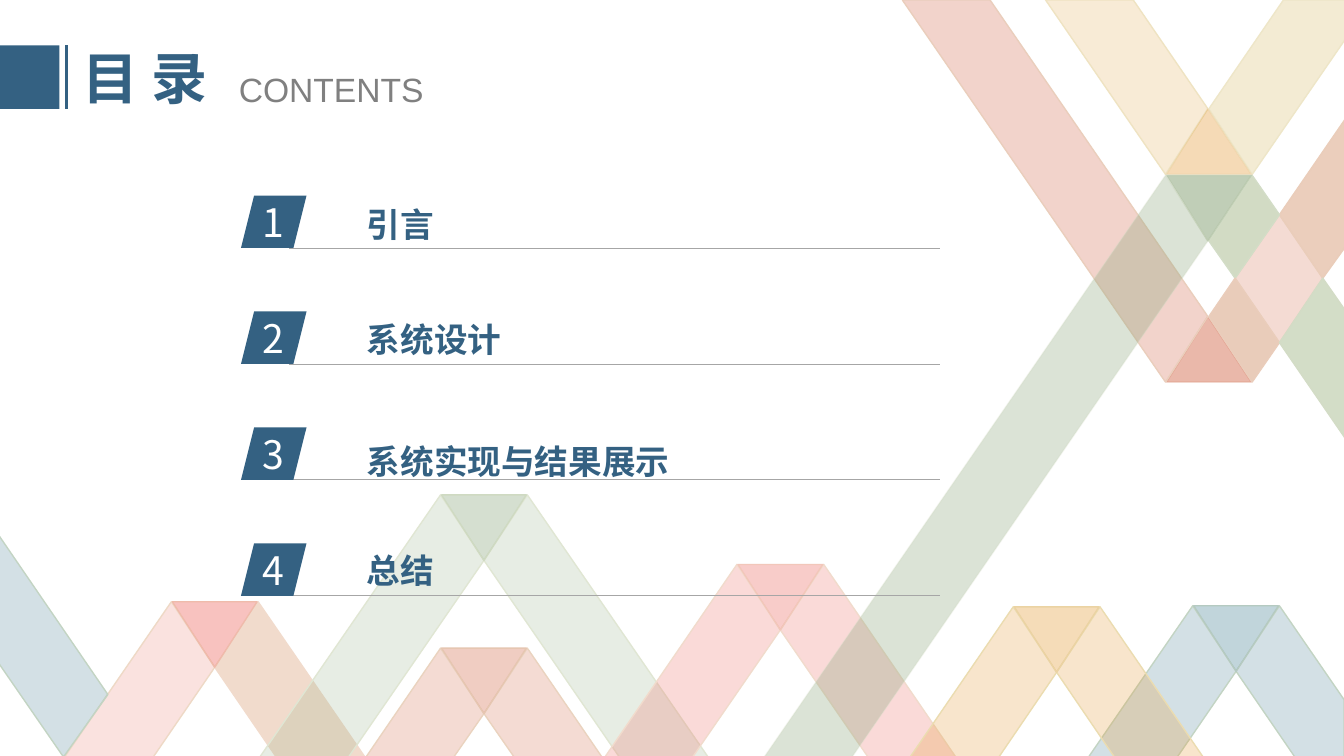
from dataclasses import dataclass

from lxml import etree
from pptx import Presentation
from pptx import util as u
from pptx.dml.color import RGBColor
from pptx.enum import shapes, text
from pptx.oxml.ns import qn

PX = 9144
PAGE_WIDTH, PAGE_HEIGHT = 1333, 750
SLOPE = 0.6875
BAND, TIP = 86, 65
NAVY, WHITE, GREY, RULE = "346182", "FFFFFF", "808080", "A6A6A6"
CJK, LATIN = "Noto Sans CJK SC", "Arial"

Point = tuple[int, int]


@dataclass
class Paint:
    fill: str
    alpha: int
    line: str
    line_alpha: int = 100


@dataclass
class Peak:
    left: int
    top: int
    foot: int
    left_arm: Paint
    right_arm: Paint
    tip: Paint


@dataclass
class Ribbon:
    paint: Paint
    points: list[Point]


@dataclass
class Entry:
    label: str
    top: int
    width: int
    height: int = 50
    spacing: float = 1.0


GREEN_ARM = Paint("A2B894", 25, "E0E6D3")
SALMON_ARM = Paint("D57053", 25, "EAD3BF")
ROSE_ARM = Paint("ED6F65", 25, "F1DBCC")
AMBER_ARM = Paint("E49B35", 25, "EBDCB0")
BLUE_ARM = Paint("508799", 25, "C3D4C3")

PEAKS = [
    Peak(170, 597, 754, Paint("EE8F82", 25, "EED9C6"),
         Paint("F1DBCC", 100, "F1DBCC"), Paint("ED5249", 35, "EFBBAB")),
    Peak(437, 491, 755, GREEN_ARM, GREEN_ARM, Paint("89A67A", 35, "CFDAC2")),
    Peak(437, 643, 754, SALMON_ARM, SALMON_ARM, Paint("D57053", 35, "E6C6B1")),
    Peak(731, 560, 754, ROSE_ARM, ROSE_ARM, Paint("ED6F65", 35, "F2C7BA")),
    Peak(1183, 601, 752, BLUE_ARM, BLUE_ARM, Paint("508799", 35, "B5CAC1")),
    Peak(1005, 602, 755, AMBER_ARM, AMBER_ARM, Paint("E49B35", 35, "EBD3A3")),
]

RIBBONS = [
    Ribbon(BLUE_ARM, [(-4, 527), (107, 689), (63, 751), (-4, 654)]),
    Ribbon(Paint("D57053", 49, "DF9B83", 49), [(1198, 314), (1241, 379), (1157, 379)]),
    Ribbon(Paint("E7B05E", 25, "EFE3C2"), [(1037, 0), (1124, 0), (1198, 108), (1156, 173)]),
    Ribbon(Paint("EFE3C2", 71, "EEE6C8"),
           [(1273, 0), (1335, 0), (1335, 38), (1242, 173), (1199, 108)]),
    Ribbon(Paint("D57053", 25, "EAD3BE"), [(1269, 213), (1312, 276), (1269, 340), (1225, 276)]),
    Ribbon(Paint("EBCEBC", 100, "EACDBA"), [(1335, 117), (1335, 244), (1312, 276), (1269, 213)]),
    Ribbon(Paint("D2DBC4", 100, "D3DDC7"), [(1242, 174), (1269, 213), (1225, 276), (1199, 239)]),
    Ribbon(Paint("E9CCBA", 100, "EACDBB"), [(1225, 276), (1269, 340), (1242, 379), (1199, 314)]),
    Ribbon(Paint("D3DDC7", 100, "D3DCC6"), [(1312, 276), (1335, 309), (1335, 436), (1269, 340)]),
    Ribbon(Paint("E49B35", 36, "EBD09D", 36), [(1198, 108), (1241, 173), (1157, 173)]),
    Ribbon(Paint("88A378", 53, "B3C4A5", 53), [(1198, 239), (1241, 174), (1157, 174)]),
    Ribbon(Paint("D57053", 30, "EACEBC"), [(895, 0), (982, 0), (1198, 314), (1156, 379)]),
    Ribbon(Paint("88A378", 30, "D3DCC5", 30), [(1156, 174), (1198, 239), (843, 754), (756, 754)]),
]

ENTRIES = [
    Entry("引言", 197, 88),
    Entry("系统设计", 311, 155),
    Entry("系统实现与结果展示", 412, 323, 71, 1.5),
    Entry("总结", 541, 88),
]


def color(value: str) -> RGBColor:
    return RGBColor.from_string(value)


def fade(fill, alpha: int) -> None:
    if alpha < 100:
        tint = fill._xPr.find(qn("a:solidFill"))[0]
        etree.SubElement(tint, qn("a:alpha"), val=str(alpha * 1000))


def draw_ribbon(page, ribbon: Ribbon) -> None:
    paint = ribbon.paint
    outline = page.shapes.build_freeform(*ribbon.points[0], scale=PX)
    outline.add_line_segments(ribbon.points[1:], close=True)
    shape = outline.convert_to_shape()
    shape.shadow.inherit = False
    shape.fill.solid()
    shape.fill.fore_color.rgb = color(paint.fill)
    fade(shape.fill, paint.alpha)
    shape.line.width = u.Pt(1)
    shape.line.color.rgb = color(paint.line)
    fade(shape.line.fill, paint.line_alpha)


def draw_peak(page, peak: Peak) -> None:
    left, top, foot = peak.left, peak.top, peak.foot
    right, middle = left + BAND, left + BAND // 2
    outer = round(SLOPE * (foot - top))
    inner = round(SLOPE * (foot - top - TIP))
    end = [(right + outer, foot)]
    if right + outer > PAGE_WIDTH:
        end = [(PAGE_WIDTH, top + round((PAGE_WIDTH - right) / SLOPE)), (PAGE_WIDTH, foot)]
    draw_ribbon(page, Ribbon(peak.left_arm, [
        (left, top), (middle, top + TIP), (middle - inner, foot), (left - outer, foot)]))
    draw_ribbon(page, Ribbon(peak.right_arm, [
        (right, top), *end, (middle + inner, foot), (middle, top + TIP)]))
    draw_ribbon(page, Ribbon(peak.tip, [
        (left + 1, top), (right - 1, top), (middle, top + TIP)]))


def draw_block(page, kind, left: int, top: int, width: int, height: int) -> None:
    shape = page.shapes.add_shape(kind, left * PX, top * PX, width * PX, height * PX)
    shape.shadow.inherit = False
    shape.fill.solid()
    shape.fill.fore_color.rgb = color(NAVY)
    shape.line.fill.background()


def draw_line(page, start: Point, end: Point, tint: str, width: float) -> None:
    line = page.shapes.add_connector(
        shapes.MSO_CONNECTOR.STRAIGHT, *(value * PX for value in start + end))
    line.line.color.rgb = color(tint)
    line.line.width = u.Pt(width)
    etree.SubElement(line._element.spPr, qn("a:effectLst"))


def write(box, words: str, size: int, tint: str, face: str = CJK, bold: bool = False,
          align=text.PP_ALIGN.LEFT, wrap: bool = True):
    frame = box.text_frame
    frame.word_wrap = wrap
    frame.auto_size = text.MSO_AUTO_SIZE.SHAPE_TO_FIT_TEXT
    para = frame.paragraphs[0]
    para.text = words
    para.alignment = align
    para.font.size = u.Pt(size)
    para.font.bold = bold
    para.font.color.rgb = color(tint)
    para.font.name = face
    etree.SubElement(para.font._element, qn("a:ea"), typeface=face)
    return para


def add_box(page, left: int, top: int, width: int, height: int):
    return page.shapes.add_textbox(left * PX, top * PX, width * PX, height * PX)


def draw_entry(page, index: int, entry: Entry) -> None:
    top = 194 + 115 * index
    draw_line(page, (287, top + 52), (932, top + 52), RULE, 0.5)
    draw_block(page, shapes.MSO_SHAPE.PARALLELOGRAM, 239, top, 65, 52)
    write(add_box(page, 240, top - 2, 63, 57), str(index + 1), 28, WHITE,
          align=text.PP_ALIGN.CENTER)
    label = add_box(page, 354, entry.top, entry.width, entry.height)
    para = write(label, entry.label, 24, NAVY, bold=True, wrap=False)
    para.line_spacing = entry.spacing


def main() -> None:
    deck = Presentation()
    deck.slide_width, deck.slide_height = PAGE_WIDTH * PX, PAGE_HEIGHT * PX
    page = deck.slides.add_slide(deck.slide_layouts.get_by_name("Title Only"))
    for peak in PEAKS:
        draw_peak(page, peak)
    for ribbon in RIBBONS:
        draw_ribbon(page, ribbon)
    draw_block(page, shapes.MSO_SHAPE.RECTANGLE, 0, 45, 59, 63)
    draw_line(page, (66, 45), (66, 108), NAVY, 2.25)
    title = page.shapes.title
    title.left, title.top, title.width, title.height = (v * PX for v in (72, 38, 154, 77))
    title.text_frame.vertical_anchor = text.MSO_ANCHOR.MIDDLE
    write(title, "目 录", 40, NAVY, bold=True)
    write(add_box(page, 227, 63, 250, 50), "CONTENTS", 24, GREY, LATIN)
    for index, entry in enumerate(ENTRIES):
        draw_entry(page, index, entry)
    deck.save("out.pptx")


if __name__ == "__main__":
    main()
